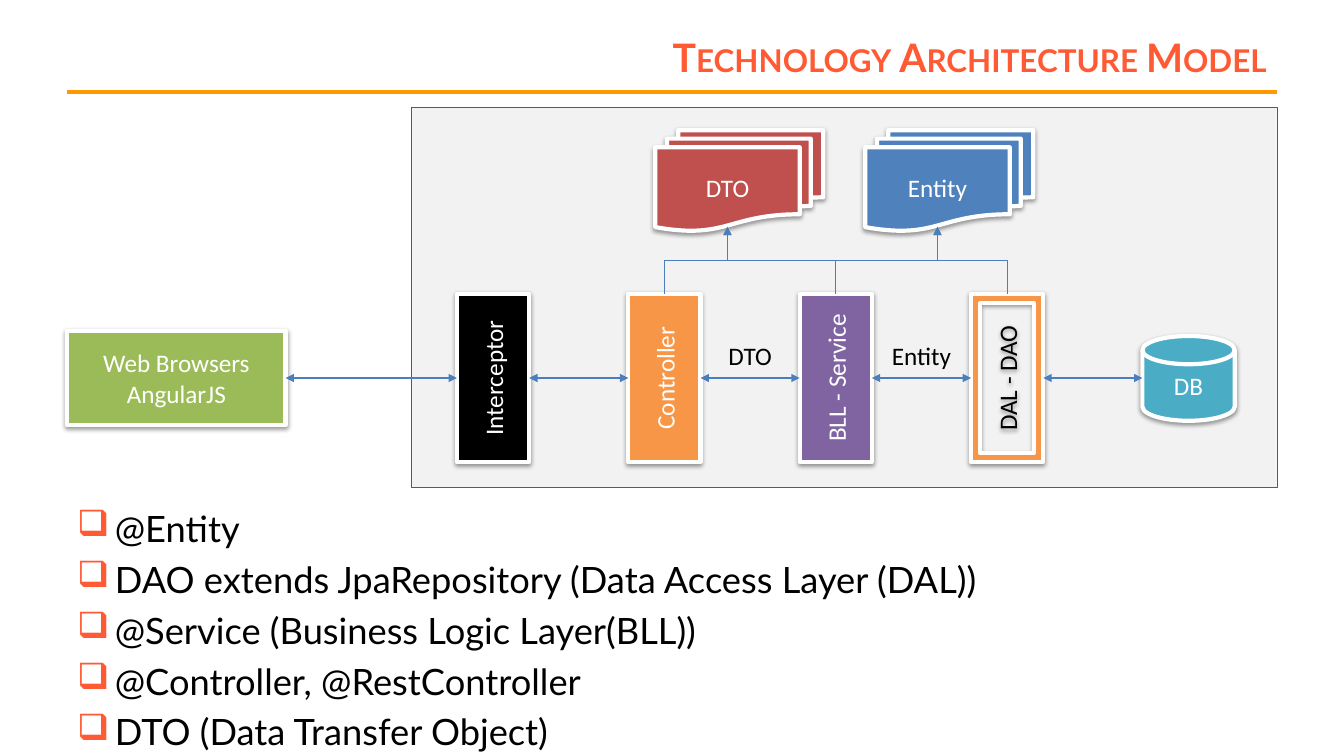
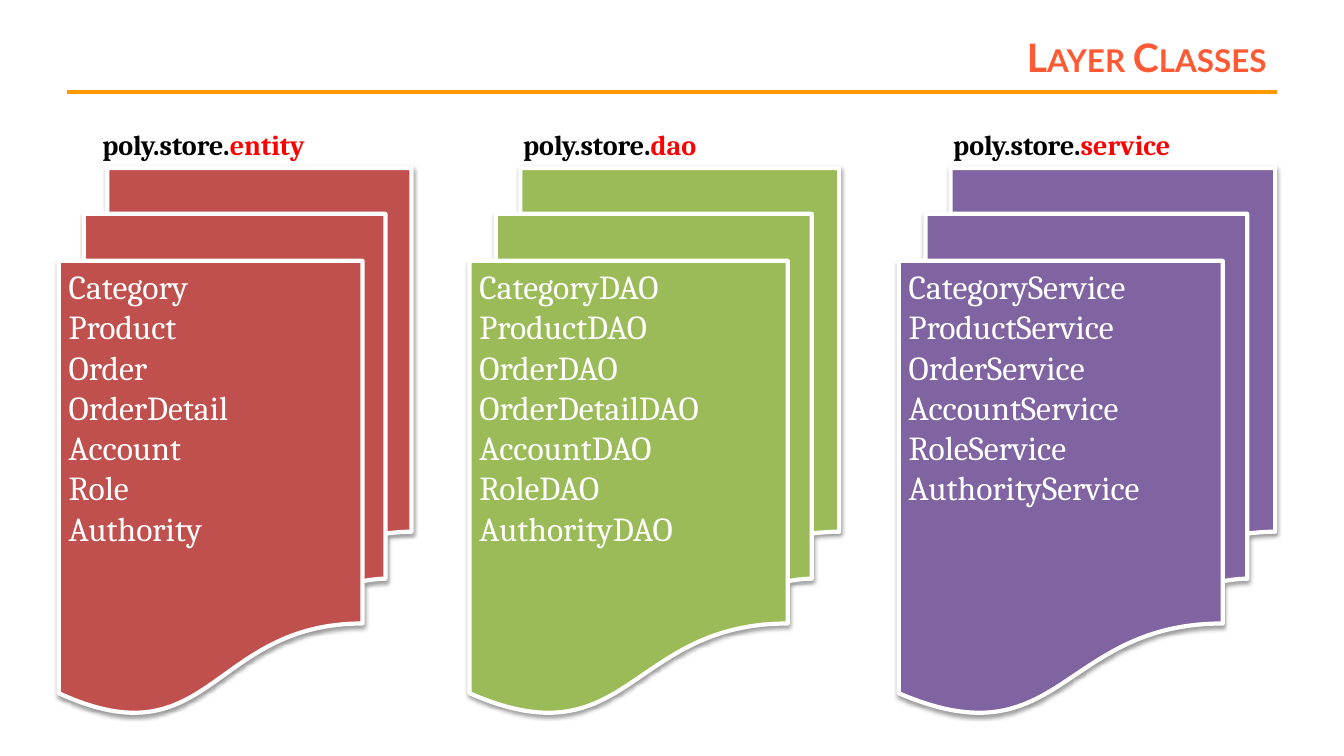
import dataclasses
import typing

import lxml.etree
import pptx
import pptx.dml.color
import pptx.enum.shapes
import pptx.enum.text
import pptx.oxml.ns
import pptx.util

RGB = pptx.dml.color.RGBColor
Pt = pptx.util.Pt
KIND = pptx.enum.shapes.MSO_SHAPE
LINE = pptx.enum.shapes.MSO_CONNECTOR
ALIGN = pptx.enum.text.PP_ALIGN
ANCHOR = pptx.enum.text.MSO_ANCHOR
qn = pptx.oxml.ns.qn

# Colours
CORAL = RGB(0xFF, 0x5A, 0x33)
AMBER = RGB(0xFF, 0x99, 0x00)
PALE = RGB(0xF2, 0xF2, 0xF2)
NAVY = RGB(0x3A, 0x5F, 0x8C)
STEEL = RGB(0x4B, 0x7E, 0xBC)
BLUE = RGB(0x4F, 0x81, 0xBD)
BRICK = RGB(0xC0, 0x50, 0x4D)
GREEN = RGB(0x9B, 0xBB, 0x59)
PURPLE = RGB(0x80, 0x64, 0xA2)
TEAL = RGB(0x4B, 0xAC, 0xC6)
ORANGE = RGB(0xF7, 0x96, 0x46)
RED = RGB(0xFF, 0x00, 0x00)
BLACK = RGB(0, 0, 0)
WHITE = RGB(0xFF, 0xFF, 0xFF)

# Grid: 160 columns by 90 rows, each cell a twelfth of an inch
COLS, ROWS = 160, 90
LEFT, RIGHT = 8, 152

# Text formats
TITLE = {"name": "Lato", "size": Pt(28), "bold": True}
BODY = {"name": "Lato", "size": Pt(25.9)}
LABEL = {"name": "Calibri", "size": Pt(18)}
CLASS = {"name": "Cambria", "size": Pt(24)}
HEAD = {"name": "Cambria", "size": Pt(20), "bold": True}


class Box(typing.NamedTuple):
    x: float
    y: float
    w: float
    h: float


class Run(typing.NamedTuple):
    text: str
    ink: RGB


@dataclasses.dataclass
class Node:
    kind: KIND
    box: Box
    fill: RGB
    lines: list[str]
    ink: RGB = WHITE
    turn: int = 0
    font: dict = dataclasses.field(default_factory=lambda: LABEL)
    align: ALIGN = ALIGN.CENTER
    anchor: ANCHOR = ANCHOR.MIDDLE


@dataclasses.dataclass
class Stack:
    x: float
    w: float
    cap: float
    fill: RGB
    name: str
    items: list[str]


def cell(n: float) -> int:
    return pptx.util.Inches(n / 12)


def area(box: Box) -> list[int]:
    return [cell(n) for n in box]


def apply(obj: typing.Any, vals: dict) -> None:
    for key, val in vals.items():
        setattr(obj, key, val)


def add(root: typing.Any, tag: str, **attrs: str) -> typing.Any:
    return lxml.etree.SubElement(root, qn(tag), attrs)


def write(frame: typing.Any, rows: list[list[Run]], font: dict, align: ALIGN) -> None:
    for i, row in enumerate(rows):
        para = frame.paragraphs[0] if i == 0 else frame.add_paragraph()
        para.alignment = align
        for part in row:
            run = para.add_run()
            run.text = part.text
            apply(run.font, font)
            run.font.color.rgb = part.ink


def label(slide: typing.Any, box: Box, rows: list[list[Run]], font: dict,
          align: ALIGN = ALIGN.LEFT, wrap: bool = False) -> typing.Any:
    frame = slide.shapes.add_textbox(*area(box)).text_frame
    frame.word_wrap = wrap
    write(frame, rows, font, align)
    return frame


def block(slide: typing.Any, kind: KIND, box: Box, fill: RGB, edge: RGB, width: float) -> typing.Any:
    shape = slide.shapes.add_shape(kind, *area(box))
    shape.shadow.inherit = False
    shape.fill.solid()
    shape.fill.fore_color.rgb = fill
    shape.line.color.rgb = edge
    shape.line.width = Pt(width)
    return shape


def draw(slide: typing.Any, node: Node) -> None:
    shape = block(slide, node.kind, node.box, node.fill, WHITE, 3)
    shape.rotation = node.turn
    # Soft shadow below
    glow = add(shape._element.spPr.find(qn("a:effectLst")), "a:outerShdw", blurRad="40000",
               dist="20000", dir="5400000", rotWithShape="0")
    add(add(glow, "a:srgbClr", val=str(BLACK)), "a:alpha", val="38000")
    frame = shape.text_frame
    apply(frame, {"word_wrap": True, "vertical_anchor": node.anchor})
    write(frame, [[Run(line, node.ink)] for line in node.lines], node.font, node.align)


def link(slide: typing.Any, kind: LINE, ends: tuple, ink: RGB, width: float,
         tips: tuple = ()) -> typing.Any:
    line = slide.shapes.add_connector(kind, *[cell(n) for n in ends])
    line.line.color.rgb = ink
    line.line.width = Pt(width)
    props = line._element.spPr
    for tip in tips:
        add(props.find(qn("a:ln")), tip, type="triangle")
    add(props, "a:effectLst")
    return line


def riser(slide: typing.Any, x1: float, y1: float, x2: float, y2: float) -> None:
    """Elbow that leaves upwards, runs across and ends upwards."""
    mid_x, mid_y = (x1 + x2) / 2, (y1 + y2) / 2
    half_w, half_h = (y1 - y2) / 2, abs(x2 - x1) / 2
    side = 1 if x2 > x1 else -1
    ends = (mid_x + side * half_w, mid_y + half_h, mid_x - side * half_w, mid_y - half_h)
    line = link(slide, LINE.ELBOW, ends, STEEL, 0.75, ("a:tailEnd",))
    turn = 90 if side > 0 else 270
    line._element.spPr.find(qn("a:xfrm")).set("rot", str(turn * 60000))


def start(deck: typing.Any, text: str) -> typing.Any:
    """New slide with the shared title and rule."""
    slide = deck.slides.add_slide(deck.slide_layouts[5])
    title = slide.shapes.title
    place = area(Box(29.3, 3.6, 122.7, 6.4))
    apply(title, dict(zip(("left", "top", "width", "height"), place)))
    frame = title.text_frame
    apply(frame, {"vertical_anchor": ANCHOR.MIDDLE, "word_wrap": True,
                  "auto_size": pptx.enum.text.MSO_AUTO_SIZE.NONE})
    write(frame, [[Run(text, CORAL)]], TITLE, ALIGN.RIGHT)
    frame.paragraphs[0].runs[0]._r.get_or_add_rPr().set("cap", "small")
    link(slide, LINE.STRAIGHT, (LEFT, 11, RIGHT, 11), AMBER, 3)
    return slide


def model(deck: typing.Any) -> None:
    slide = start(deck, "Technology Architecture Model")
    block(slide, KIND.RECTANGLE, Box(49, 12.8, 103, 45.2), PALE, NAVY, 0.25)

    # Bulleted list
    items = ["@Entity", "DAO extends JpaRepository (Data Access Layer (DAL))",
             "@Service (Business Logic Layer(BLL))", "@Controller, @RestController",
             "DTO (Data Transfer Object)"]
    frame = label(slide, Box(LEFT, 59.7, RIGHT - LEFT, 28.1),
                  [[Run(item, BLACK)] for item in items], BODY, wrap=True)
    for i, para in enumerate(frame.paragraphs):
        props = para._p.get_or_add_pPr()
        props.set("marL", str(cell(4.5)))
        props.set("indent", str(-cell(4.5)))
        add(add(props, "a:buClr"), "a:srgbClr", val=str(CORAL))
        add(props, "a:buChar", char="❑")
        if i:
            para.space_before = Pt(5.2)

    # Layers stand upright at an equal pitch
    axis, long, thick = 45, 20, 8.6
    mids = [58.7 + 20.4 * i for i in range(4)]
    layers = [("Interceptor", KIND.RECTANGLE, BLACK, WHITE),
              ("Controller", KIND.RECTANGLE, ORANGE, WHITE),
              ("BLL - Service", KIND.RECTANGLE, PURPLE, WHITE),
              ("DAL - DAO", KIND.FRAME, ORANGE, BLACK)]
    for mid, (name, kind, fill, ink) in zip(mids, layers):
        box = Box(mid - long / 2, axis - thick / 2, long, thick)
        draw(slide, Node(kind, box, fill, [name], ink, 270))

    # Client, database and data objects
    browser, base = Box(LEFT, 39.4, 26, 11.2), Box(136, 40, 11, 10.1)
    draw(slide, Node(KIND.RECTANGLE, browser, GREEN, ["Web Browsers", "AngularJS"]))
    draw(slide, Node(KIND.FLOWCHART_MAGNETIC_DISK, base, TEAL, ["DB"]))
    docs = {"DTO": (78, BRICK), "Entity": (103, BLUE)}
    for name, (x, fill) in docs.items():
        draw(slide, Node(KIND.FLOWCHART_MULTIDOCUMENT, Box(x, 15.5, 20, 12), fill, [name]))

    # Arrows along the axis and up to the data objects
    outs = [browser.x + browser.w] + [mid + thick / 2 for mid in mids]
    ins = [mid - thick / 2 for mid in mids] + [base.x]
    for x1, x2 in zip(outs, ins):
        link(slide, LINE.STRAIGHT, (x1, axis, x2, axis), STEEL, 0.75,
             ("a:headEnd", "a:tailEnd"))
    for layer, name in [(1, "DTO"), (2, "DTO"), (2, "Entity"), (3, "Entity")]:
        riser(slide, mids[layer], axis - long / 2, docs[name][0] + 8.6, 27)

    # Labels centred over the gaps
    for gap, name in enumerate(docs, start=1):
        mid = (mids[gap] + mids[gap + 1]) / 2
        label(slide, Box(mid - 4.8, 39.9, 9.6, 4.8), [[Run(name, BLACK)]], LABEL, ALIGN.CENTER)


def classes(deck: typing.Any) -> None:
    slide = start(deck, "Layer Classes")
    names = ["Category", "Product", "Order", "OrderDetail", "Account", "Role", "Authority"]
    stacks = [
        Stack(7, 42, 11, BRICK, "entity", names),
        Stack(55.9, 44, 61.1, GREEN, "dao", [f"{name}DAO" for name in names]),
        Stack(107, 44.8, 112.3, PURPLE, "service",
              [f"{name}Service" for name in names if name != "OrderDetail"]),
    ]
    for item in stacks:
        draw(slide, Node(KIND.FLOWCHART_MULTIDOCUMENT, Box(item.x, 20, item.w, 65), item.fill,
                         item.items, font=CLASS, align=ALIGN.LEFT, anchor=ANCHOR.TOP))
        # Caption runs as wide as the rear sheet
        label(slide, Box(item.cap, 14.6, item.x + item.w - item.cap, 5.3),
              [[Run("poly.store.", BLACK), Run(item.name, RED)]], HEAD, wrap=True)


def main() -> None:
    deck = pptx.Presentation()
    deck.slide_width, deck.slide_height = cell(COLS), cell(ROWS)
    model(deck)
    classes(deck)
    deck.save("out.pptx")


if __name__ == "__main__":
    main()
